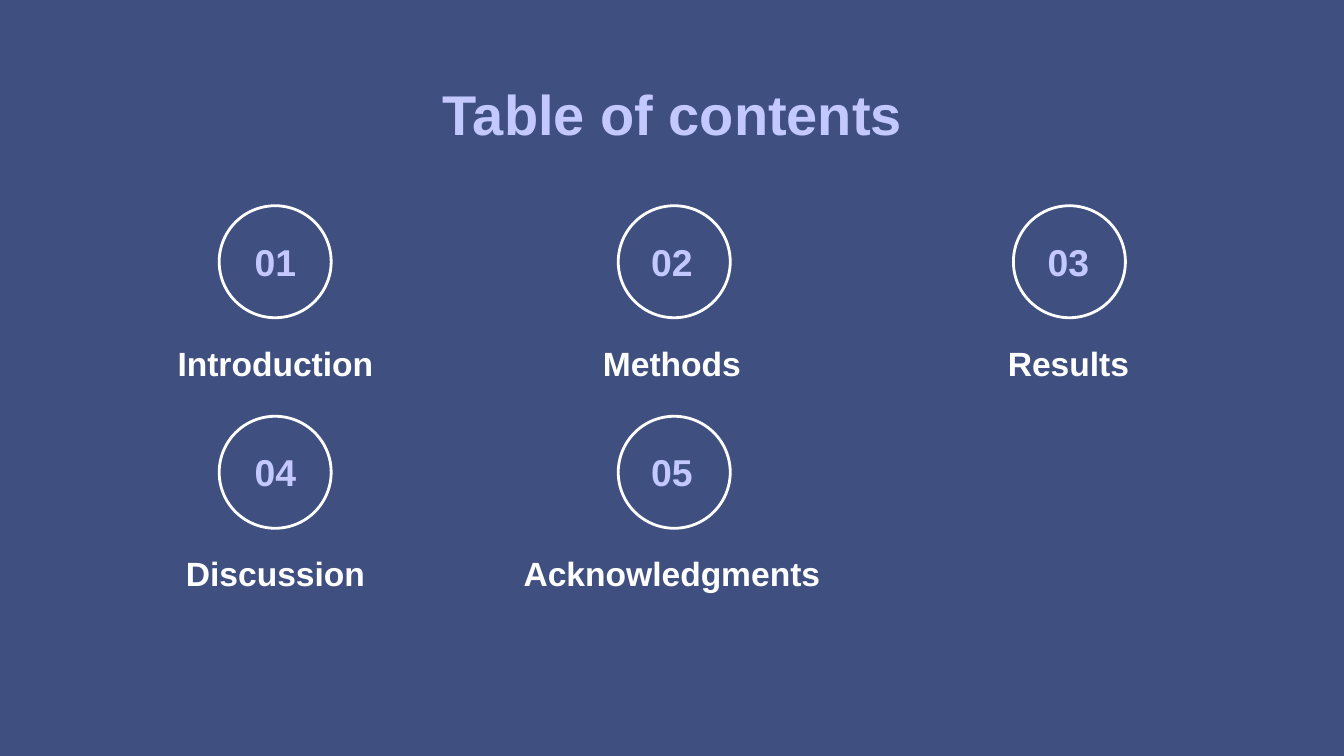
from pptx import Presentation
from pptx.dml.color import RGBColor
from pptx.enum import shapes, text
from pptx.util import Pt

NAVY = RGBColor(0x3F, 0x4F, 0x80)
LAVENDER = RGBColor(0xC3, 0xC9, 0xFF)
WHITE = RGBColor(0xFF, 0xFF, 0xFF)

SECTIONS = ["Introduction", "Methods", "Results", "Discussion", "Acknowledgments"]
CIRCLE_LEFTS = [117.4, 331.2, 542.9]
COLUMN_STEP = 212.4
ROW_STEP = 112.8
INSET = 7.2


def format_text(box, words, size, color, anchor):
    frame = box.text_frame
    frame.word_wrap = True
    frame.auto_size = text.MSO_AUTO_SIZE.NONE
    frame.vertical_anchor = anchor
    frame.margin_left = frame.margin_right = Pt(INSET)
    frame.margin_top = frame.margin_bottom = Pt(INSET)
    para = frame.paragraphs[0]
    para.text = words
    para.alignment = text.PP_ALIGN.CENTER
    para.font.name = "Arial"
    para.font.size = Pt(size)
    para.font.bold = True
    para.font.color.rgb = color


def add_title(page, words):
    title = page.shapes.title
    title.left, title.top = Pt(56.9), Pt(35.3)
    title.width, title.height = Pt(607), Pt(45.4)
    format_text(title, words, 30, LAVENDER, text.MSO_ANCHOR.TOP)


def add_circle(page, left, top):
    circle = page.shapes.add_shape(
        shapes.MSO_SHAPE.ROUNDED_RECTANGLE, Pt(left), Pt(top), Pt(60), Pt(60))
    circle.adjustments[0] = 0.5
    circle.shadow.inherit = False
    circle.fill.background()
    circle.line.color.rgb = WHITE
    circle.line.width = Pt(1.5)


def add_text(page, words, left, top, width, height, size, color, anchor):
    box = page.shapes.add_textbox(Pt(left), Pt(top), Pt(width), Pt(height))
    format_text(box, words, size, color, anchor)


def add_section(page, index, name):
    row, column = divmod(index, len(CIRCLE_LEFTS))
    across = column * COLUMN_STEP
    down = row * ROW_STEP
    add_circle(page, CIRCLE_LEFTS[column], 110.2 + down)
    add_text(page, f"{index + 1:02}", 118.8 + across, 122.4 + down, 57.6, 35.3,
             20, LAVENDER, text.MSO_ANCHOR.MIDDLE)
    add_text(page, name, 56.9 + across, 183.6 + down, 181.4, 28.8,
             18, WHITE, text.MSO_ANCHOR.BOTTOM)


def main():
    deck = Presentation()
    deck.slide_width, deck.slide_height = Pt(720), Pt(405)
    page = deck.slides.add_slide(deck.slide_layouts[5])
    page.background.fill.solid()
    page.background.fill.fore_color.rgb = NAVY
    add_title(page, "Table of contents")
    for index, name in enumerate(SECTIONS):
        add_section(page, index, name)
    deck.save("out.pptx")


if __name__ == "__main__":
    main()
